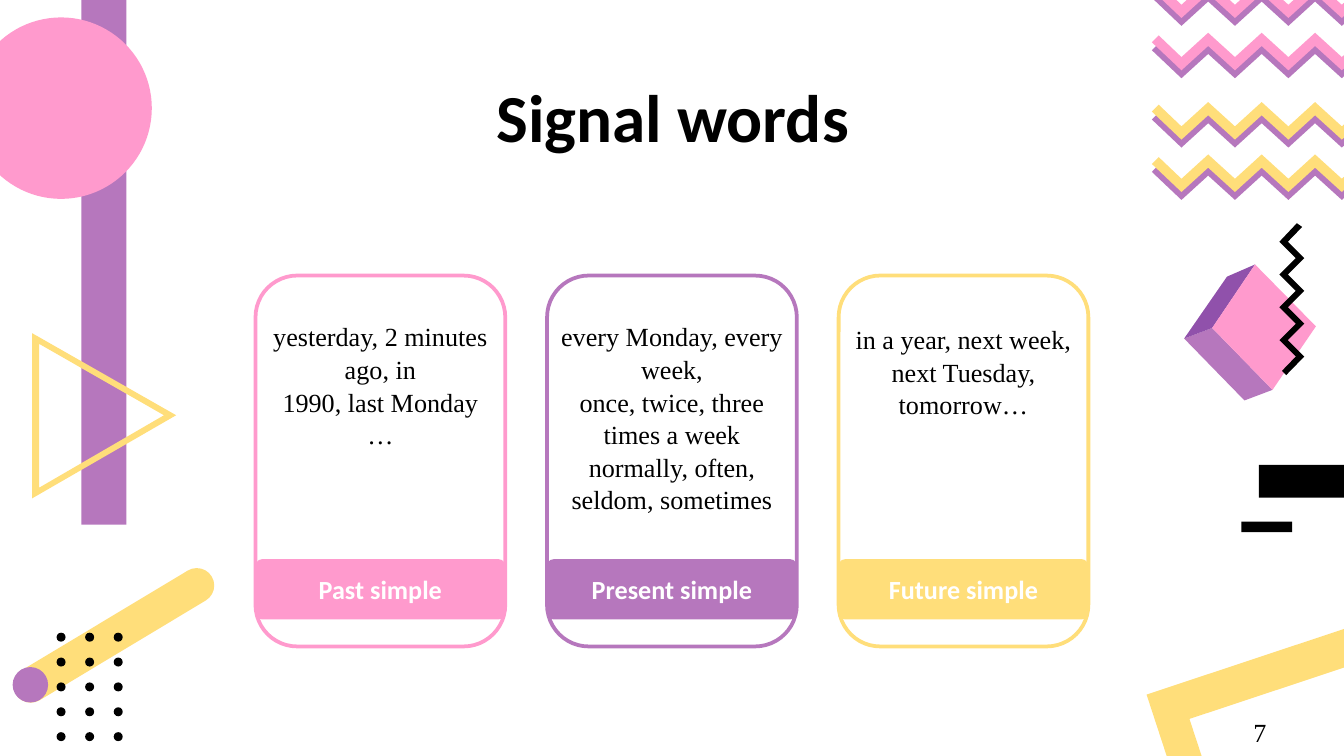
"""Build the "Signal words" slide: three tense cards on a Memphis-style background."""
from dataclasses import dataclass

from pptx import Presentation
from pptx.dml.color import RGBColor as RGB
from pptx.enum.shapes import MSO_SHAPE as SHAPE
from pptx.enum.text import MSO_ANCHOR as ANCHOR, PP_ALIGN as ALIGN
from pptx.util import Cm, Pt


@dataclass(frozen=True)
class Theme:
    pink: RGB = RGB.from_string("FF9ACD")
    purple: RGB = RGB.from_string("B677BD")
    violet: RGB = RGB.from_string("9051AB")
    yellow: RGB = RGB.from_string("FFDE7A")
    black: RGB = RGB.from_string("000000")
    white: RGB = RGB.from_string("FFFFFF")
    title_size: Pt = Pt(36)
    text_size: Pt = Pt(14)


theme = Theme()
TITLE = dict(name="Calibri", size=theme.title_size, bold=True)
LABEL = dict(name="Calibri", size=theme.text_size, bold=True)
BODY = dict(name="Times New Roman", size=theme.text_size, bold=False)

prs = Presentation()
prs.slide_width, prs.slide_height = Cm(25.4), Cm(14.29)
s = prs.slides.add_slide(prs.slide_layouts[5])


def draw(color, *contours, kind=None, box=None):
    """Add a filled, unlined outline from contours, or a preset shape in a box."""
    if kind is None:
        outline = [[(Cm(x), Cm(y)) for x, y in points] for points in contours]
        builder = s.shapes.build_freeform(*outline[0][0], scale=1.0)
        builder.add_line_segments(outline[0][1:], close=True)
        for points in outline[1:]:
            builder.move_to(*points[0])
            builder.add_line_segments(points[1:], close=True)
        sp = builder.convert_to_shape()
    else:
        sp = s.shapes.add_shape(kind, *map(Cm, box))
    sp.shadow.inherit = False
    sp.fill.solid()
    sp.fill.fore_color.rgb = color
    sp.line.fill.background()
    return sp


def write(sp, lines, fmt, color, anchor=ANCHOR.MIDDLE, inset=0.25, spacing=1.0):
    """Fill a shape with centred paragraphs."""
    tf = sp.text_frame
    frame = dict(word_wrap=True, vertical_anchor=anchor, margin_left=Cm(0.25),
                 margin_right=Cm(0.25), margin_top=Cm(inset), margin_bottom=Cm(inset))
    for key, value in frame.items():
        setattr(tf, key, value)
    for i, line in enumerate(lines):
        p = tf.add_paragraph() if i else tf.paragraphs[0]
        p.alignment, p.line_spacing = ALIGN.CENTER, spacing
        r = p.add_run()
        r.text = line
        for key, value in fmt.items():
            setattr(r.font, key, value)
        r.font.color.rgb = color


draw(theme.black, kind=SHAPE.RECTANGLE, box=(23.79, 8.79, 6.95, 0.62))
draw(theme.black, kind=SHAPE.RECTANGLE, box=(23.46, 9.86, 0.96, 0.2))

wave = [(22.33 + 0.505 * i, 0 if i % 2 else 0.46) for i in range(8)]
ribbon = [(21.9, 0.05), *wave, (26.42, 0.51), (26.29, 0.66),
          *[(x, y + 0.25) for x, y in reversed(wave)], (21.77, 0.18)]
for color, top in ((theme.yellow, 2.08), (theme.yellow, 3.07),
                   (theme.pink, -0.22), (theme.pink, 0.77)):
    for shade, lift in ((theme.purple, 0), (color, 0.15)):
        draw(shade, [(x, y + top - lift) for x, y in ribbon])

draw(theme.yellow, [(25.4, 11.89), (21.67, 13.13), (22.05, 14.29),
                    (22.71, 14.29), (22.48, 13.59), (25.4, 12.62)])

draw(theme.purple, [(22.91, 6.2), (22.38, 6.4), (23.52, 7.57), (24.05, 7.37)])
draw(theme.violet, [(23.72, 5.0), (23.19, 5.23), (22.38, 6.4), (22.91, 6.2)])
draw(theme.pink, [(23.72, 5.0), (22.91, 6.2), (24.05, 7.37), (24.87, 6.17)])

bolt = [(24.49 if i % 2 else 24.18, 4.57 + 0.31 * i) for i in range(8)]
draw(theme.black, [(24.51, 4.22), *bolt, (24.23, 7.01), (24.31, 7.09),
                   *[(x + 0.16, y) for x, y in reversed(bolt)], (24.61, 4.29)])

bar = draw(theme.yellow, kind=SHAPE.ROUNDED_RECTANGLE, box=(-0.01, 11.68, 4.32, 0.66))
bar.adjustments[0], bar.rotation = 0.5, -31
draw(theme.purple, kind=SHAPE.OVAL, box=(0.24, 12.61, 0.67, 0.67))
draw(theme.purple, kind=SHAPE.RECTANGLE, box=(1.54, -1.63, 0.85, 11.55))
draw(theme.pink, kind=SHAPE.OVAL, box=(-0.56, 0.33, 3.43, 3.43))
for row in range(5):
    for col in range(3):
        draw(theme.black, kind=SHAPE.OVAL,
             box=(1.07 + 0.54 * col, 11.96 + 0.47 * row, 0.17, 0.17))
draw(theme.yellow, [(0.74, 6.5), (3.1, 7.85), (0.74, 9.22)],
     [(0.61, 6.3), (0.61, 9.42), (3.33, 7.85)])

title = s.shapes.title
title.left, title.top, title.width, title.height = Cm(3.23), Cm(1.02), Cm(18.97), Cm(2.34)
write(title, ["Signal words"], TITLE, theme.black)

cards = [
    (theme.pink, "Past simple", 5.79, 2.57,
     ["yesterday, 2 minutes ago, in", "1990, last Monday …"]),
    (theme.purple, "Present simple", 5.79, 3.91,
     ["every Monday, every week,", "once, twice, three times a week",
      "normally, often,", "seldom, sometimes"]),
    (theme.yellow, "Future simple", 5.84, 1.6,
     ["in a year, next week, next Tuesday, tomorrow…"]),
]
for i, (color, tense, top, height, words) in enumerate(cards):
    left, width = 4.83 + 5.51 * i, 4.72
    card = draw(theme.white, kind=SHAPE.ROUNDED_RECTANGLE, box=(left, 5.21, width, 7.01))
    card.line.color.rgb, card.line.width = color, Pt(2)
    text = s.shapes.add_textbox(Cm(left), Cm(top), Cm(width), Cm(height))
    write(text, words, BODY, theme.black, anchor=ANCHOR.TOP, spacing=1.04)
    label = draw(color, kind=SHAPE.ROUNDED_RECTANGLE, box=(left, 10.57, width, 1.14))
    label.adjustments[0] = 0.11
    write(label, [tense], LABEL, theme.white)

number = s.shapes.add_textbox(Cm(22.86), Cm(13.41), Cm(1.9), Cm(0.86))
write(number, ["7"], BODY, theme.black, anchor=ANCHOR.TOP, inset=0.13)

prs.save("out.pptx")
